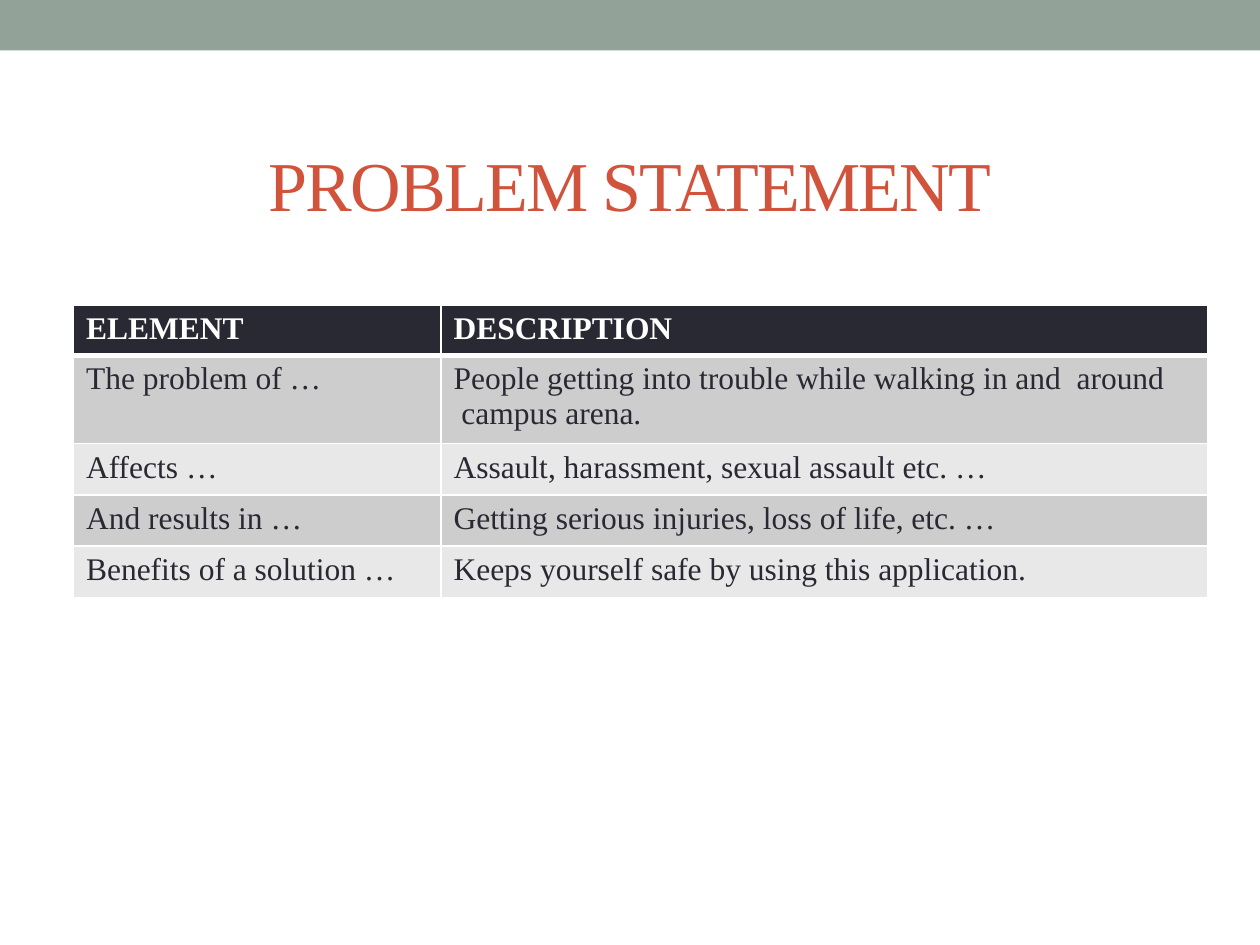
import pptx
import pptx.util
import pptx.dml.color
import pptx.enum.shapes
import pptx.enum.text
import pptx.oxml
import pptx.oxml.ns

Pt = pptx.util.Pt
RGB = pptx.dml.color.RGBColor
SAGE = RGB(0x93, 0xA2, 0x99)
RUST = RGB(0xD2, 0x53, 0x3C)
INK = RGB(0x29, 0x29, 0x34)
WHITE = RGB(0xFF, 0xFF, 0xFF)
BANDS = [RGB(0xCD, 0xCD, 0xCE), RGB(0xE8, 0xE8, 0xE8)]


def write(tf, text, size=18, color=INK, bold=False, align=None, spacing=None):
    for i, line in enumerate(text.split("\n")):
        p = tf.paragraphs[0] if i == 0 else tf.add_paragraph()
        p.alignment = align
        r = p.add_run()
        r.text = line
        r.font.name = "Times New Roman"
        r.font.size = Pt(size)
        r.font.bold = bold
        r.font.color.rgb = color
        if spacing is not None:
            r.font._element.set("spc", str(int(spacing * 100)))


def add_border(cell, side, width):
    cell._tc.get_or_add_tcPr().append(pptx.oxml.parse_xml(
        f'<a:ln{side} {pptx.oxml.ns.nsdecls("a")} w="{Pt(width)}">'
        f'<a:solidFill><a:srgbClr val="{WHITE}"/></a:solidFill></a:ln{side}>'))


prs = pptx.Presentation()
prs.slide_width, prs.slide_height = Pt(720), Pt(540)
s = prs.slides.add_slide(prs.slide_layouts[6])

# Top band
sp = s.shapes.add_shape(pptx.enum.shapes.MSO_SHAPE.RECTANGLE, 0, 0, Pt(720), Pt(28.8))
sp.shadow.inherit = False
sp.fill.solid()
sp.fill.fore_color.rgb = SAGE
sp.line.fill.background()

# Title
tf = s.shapes.add_textbox(Pt(36), Pt(66.24), Pt(648), Pt(77.76)).text_frame
tf.word_wrap = True
tf.vertical_anchor = pptx.enum.text.MSO_ANCHOR.MIDDLE
write(tf, "PROBLEM STATEMENT", size=40, color=RUST,
      align=pptx.enum.text.PP_ALIGN.CENTER, spacing=-1)

# Problem table
rows = [
    ("ELEMENT", "DESCRIPTION"),
    ("The problem of …",
     "People getting into trouble while walking in and  around\n campus arena."),
    ("Affects …", "Assault, harassment, sexual assault etc. …"),
    ("And results in …", "Getting serious injuries, loss of life, etc. …"),
    ("Benefits of a solution …", "Keeps yourself safe by using this application."),
]
heights = [27, 47, 29.3, 29.3, 29.3]
table = s.shapes.add_table(len(rows), 2, Pt(42), Pt(174.24), Pt(648), Pt(sum(heights))).table
for column, width in zip(table.columns, (210, 438)):
    column.width = Pt(width)

for i, (row, height) in enumerate(zip(rows, heights)):
    table.rows[i].height = Pt(height)
    header = i == 0
    for j, text in enumerate(row):
        cell = table.cell(i, j)
        write(cell.text_frame, text, color=WHITE if header else INK, bold=header)
        for side, width in (("L", 1), ("R", 1), ("T", 3 if i == 1 else 1),
                            ("B", 3 if header else 1)):
            add_border(cell, side, width)
        cell.fill.solid()
        cell.fill.fore_color.rgb = INK if header else BANDS[(i - 1) % 2]

prs.save("out.pptx")
